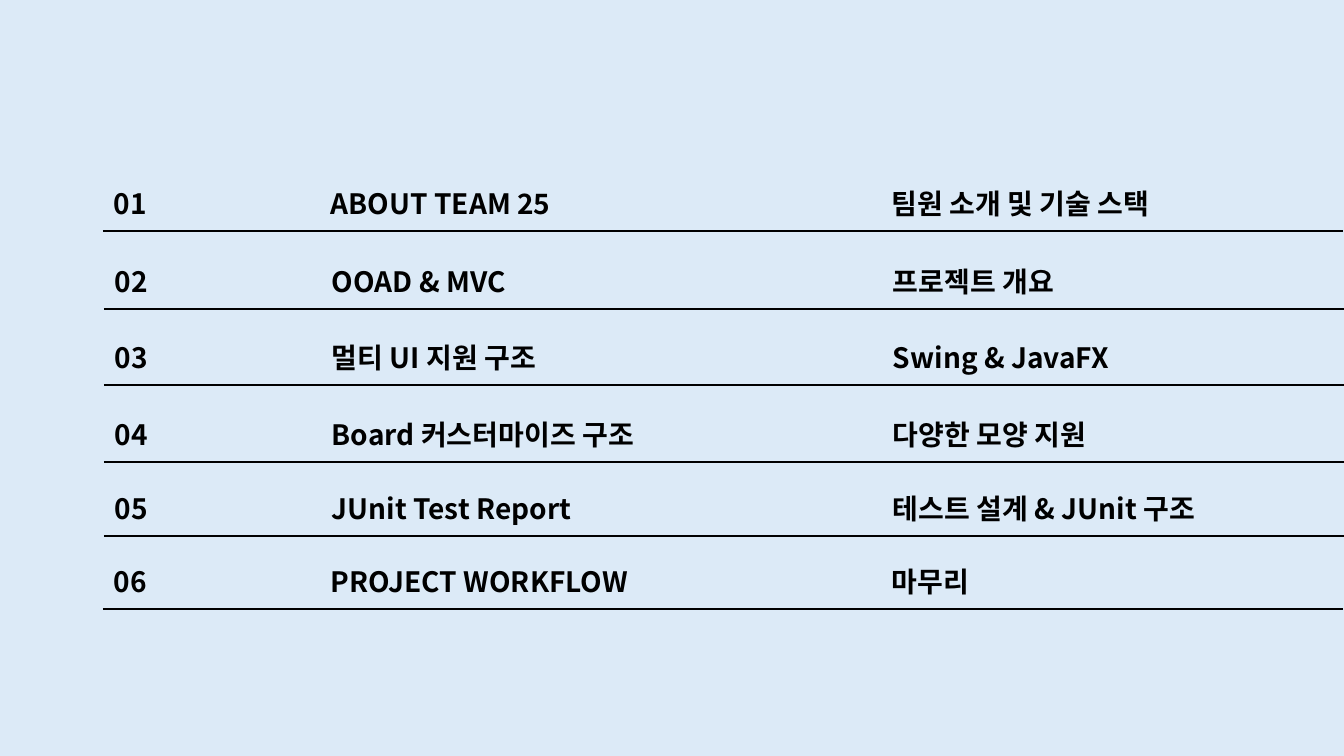
"""Build the six-row contents slide."""
from dataclasses import dataclass

from lxml.etree import SubElement
from pptx import Presentation
from pptx.dml.color import RGBColor as Rgb
from pptx.enum.shapes import MSO_CONNECTOR as Link, MSO_SHAPE as Form
from pptx.enum.text import MSO_AUTO_SIZE as Fit
from pptx.oxml.ns import qn
from pptx.shapes.shapetree import GroupShapes as Group
from pptx.util import Emu, Pt

SCALE = 914400 / 100.8
WIDE, HIGH = 1344, 756
COLORS = {"back": "DCEAF7", "ink": "000000"}
FONT = "Noto Sans CJK KR"
COLS = ((105, 92), (322, 449), (883, 449))
TEXT_H = 44
RULE_X, RULE_DROP = 104, 49


@dataclass(frozen=True)
class Row:
    top: int
    title: str
    note: str
    shift: int = 0


ROWS = (
    Row(182, "ABOUT TEAM 25", "팀원 소개 및 기술 스택", -1),
    Row(260, "OOAD & MVC", "프로젝트 개요"),
    Row(336, "멀티 UI 지원 구조", "Swing & JavaFX"),
    Row(413, "Board 커스터마이즈 구조", "다양한 모양 지원"),
    Row(487, "JUnit Test Report", "테스트 설계 & JUnit 구조"),
    Row(560, "PROJECT WORKFLOW", "마무리", -1),
)


def px(size: int) -> Emu:
    return Emu(round(size * SCALE))


def ink(name: str) -> Rgb:
    return Rgb.from_string(COLORS[name])


def add_text(group: Group, left: int, top: int, width: int, text: str) -> None:
    box = group.add_textbox(px(left), px(top), px(width), px(TEXT_H))
    frame = box.text_frame
    frame.word_wrap = True
    frame.auto_size = Fit.SHAPE_TO_FIT_TEXT
    para = frame.paragraphs[0]
    para.text = text
    font = para.font
    font.name, font.size, font.bold = FONT, Pt(20), True
    font.color.rgb = ink("ink")
    props = para._p.pPr.find(qn("a:defRPr"))
    SubElement(props, qn("a:ea")).set("typeface", FONT)


def add_rule(group: Group, left: int, top: int) -> None:
    end = left + WIDE - RULE_X
    rule = group.add_connector(Link.STRAIGHT, px(left), px(top), px(end), px(top))
    rule.line.color.rgb = ink("ink")
    rule.line.width = Pt(1.5)
    SubElement(rule._element.spPr, qn("a:effectLst"))


def add_row(group: Group, num: int, row: Row) -> None:
    for (left, width), text in zip(COLS, (f"{num:02}", row.title, row.note)):
        add_text(group, left + row.shift, row.top, width, text)
    add_rule(group, RULE_X + row.shift, row.top + RULE_DROP)


def main() -> None:
    deck = Presentation()
    deck.slide_width, deck.slide_height = px(WIDE), px(HIGH)
    slide = deck.slides.add_slide(deck.slide_layouts[6])
    back = slide.shapes.add_shape(Form.RECTANGLE, 0, 0, px(WIDE), px(HIGH))
    back.shadow.inherit = False
    back.fill.solid()
    back.fill.fore_color.rgb = ink("back")
    back.line.fill.background()
    for num, row in enumerate(ROWS, 1):
        add_row(slide.shapes.add_group_shape().shapes, num, row)
    deck.save("out.pptx")


if __name__ == "__main__":
    main()
